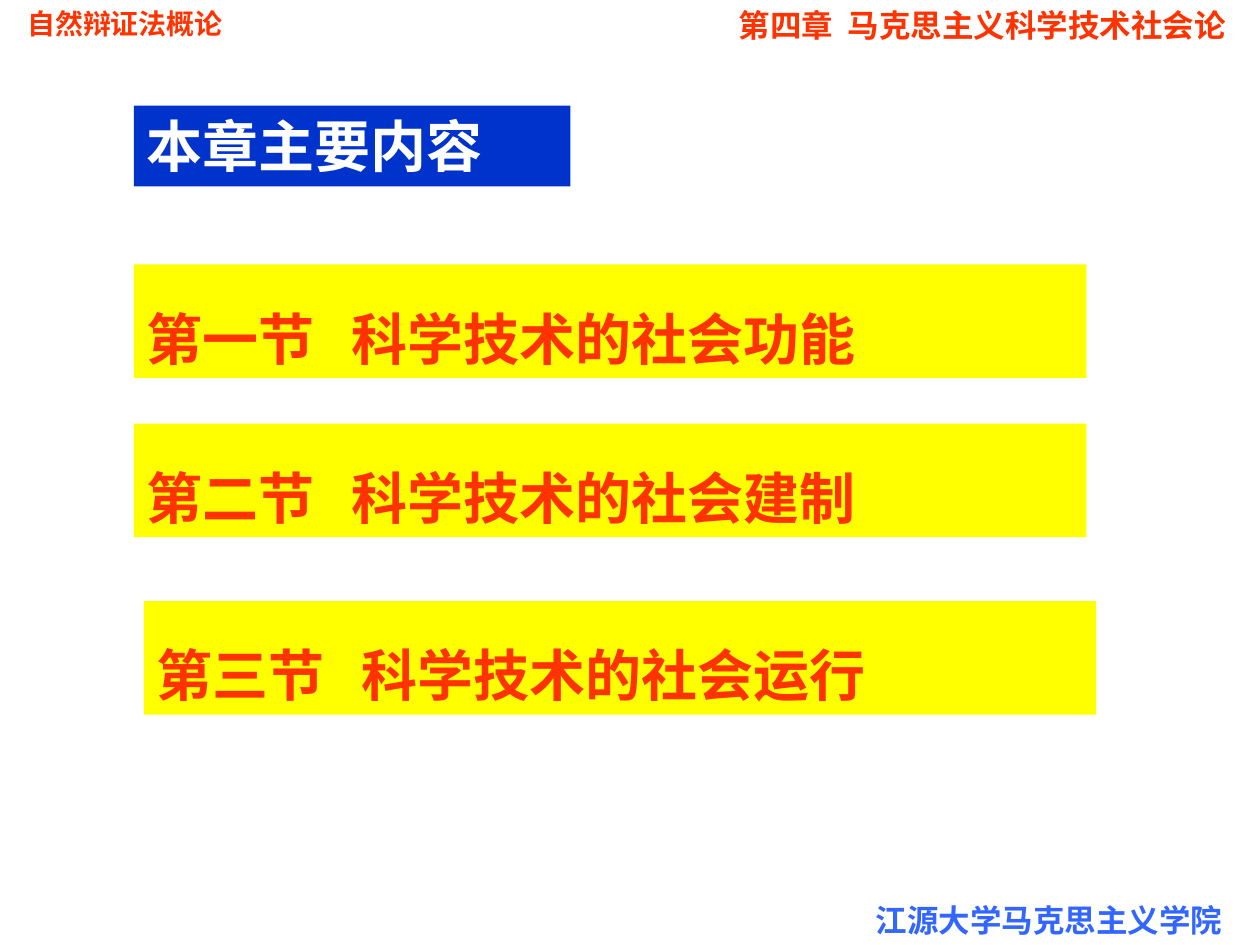
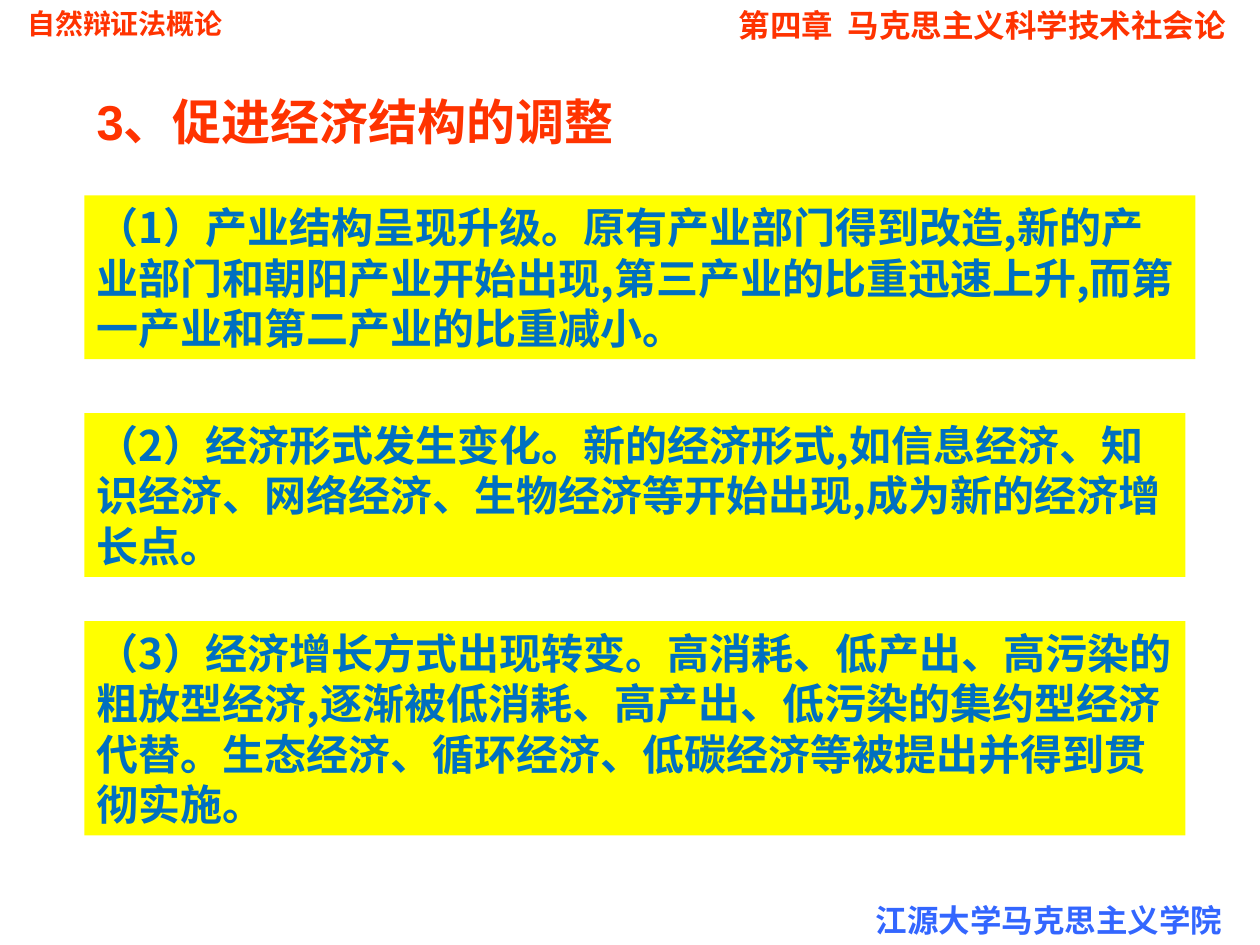
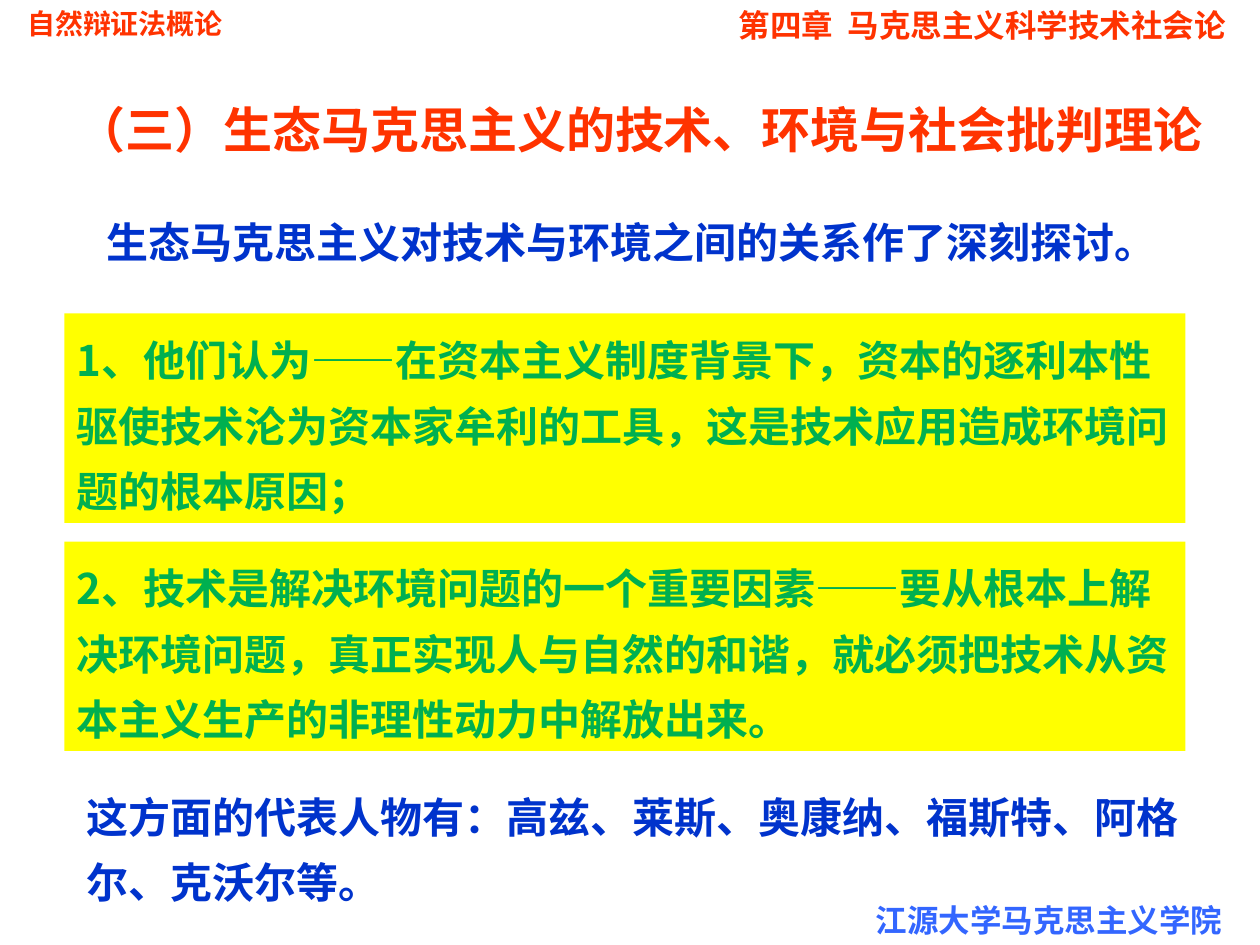
"""Build three lecture slides on the Marxist theory of science, technology and society."""
from lxml import etree
from pptx import Presentation
from pptx.dml.color import RGBColor
from pptx.enum.shapes import MSO_SHAPE
from pptx.enum.text import MSO_ANCHOR, MSO_AUTO_SIZE
from pptx.oxml.ns import qn
from pptx.util import Cm, Pt

RECTANGLE = MSO_SHAPE.RECTANGLE
TOP = MSO_ANCHOR.TOP
GROW = MSO_AUTO_SIZE.SHAPE_TO_FIT_TEXT

RED = RGBColor(0xFF, 0x33, 0x00)
NAVY = RGBColor(0x00, 0x33, 0xCC)
SKY = RGBColor(0x33, 0x66, 0xFF)
BLUE = RGBColor(0x00, 0x70, 0xC0)
GREEN = RGBColor(0x00, 0xB0, 0x50)
YELLOW = RGBColor(0xFF, 0xFF, 0x00)
WHITE = RGBColor(0xFF, 0xFF, 0xFF)

LATIN = "Arial"
HAN = "Noto Sans CJK SC"
DASH = "——"

COURSE = "自然辩证法概论"
CHAPTER = "第四章\t马克思主义科学技术社会论"
SCHOOL = "江源大学马克思主义学院"

CONTENTS_TITLE = "本章主要内容"
SECTIONS = [
    ("第一节\t科学技术的社会功能", 2.7, 5.33),
    ("第二节\t科学技术的社会建制", 2.7, 8.54),
    ("第三节\t科学技术的社会运行", 2.9, 12.12),
]

ECONOMY_TITLE = "3、促进经济结构的调整"
ECONOMY_CHANGES = [
    ("（1）产业结构呈现升级。原有产业部门得到改造,新的产业部门和朝阳产业开始出现,"
     "第三产业的比重迅速上升,而第一产业和第二产业的比重减小。", 3.94, 22.4, 3.3),
    ("（2）经济形式发生变化。新的经济形式,如信息经济、知识经济、网络经济、"
     "生物经济等开始出现,成为新的经济增长点。", 8.33, 22.2, 3.3),
    ("（3）经济增长方式出现转变。高消耗、低产出、高污染的粗放型经济,逐渐被低消耗、"
     "高产出、低污染的集约型经济代替。生态经济、循环经济、低碳经济等被提出并得到贯彻实施。",
     12.52, 22.2, 4.32),
]

ECOLOGY_TITLE = "（三）生态马克思主义的技术、环境与社会批判理论"
ECOLOGY_INTRO = "生态马克思主义对技术与环境之间的关系作了深刻探讨。"
ECOLOGY_VIEWS = [
    "1、他们认为——在资本主义制度背景下，资本的逐利本性驱使技术沦为资本家牟利的工具，"
    "这是技术应用造成环境问题的根本原因；",
    "2、技术是解决环境问题的一个重要因素——要从根本上解决环境问题，真正实现人与自然的和谐，"
    "就必须把技术从资本主义生产的非理性动力中解放出来。",
]
ECOLOGY_THINKERS = "这方面的代表人物有：高兹、莱斯、奥康纳、福斯特、阿格尔、克沃尔等。"


def add_text(slide, text, left, top, width, height, *, size=24, color=RED, font=LATIN,
             fill=None, spacing=None, inset=0.25, tab=None):
    """Add bold text, on a filled rectangle if a fill is given."""
    place = Cm(left), Cm(top), Cm(width), Cm(height)
    if fill is None:
        box = slide.shapes.add_textbox(*place)
    else:
        box = slide.shapes.add_shape(RECTANGLE, *place)
        box.shadow.inherit = False
        box.fill.solid()
        box.fill.fore_color.rgb = fill
        box.line.fill.background()
    frame = box.text_frame
    frame.word_wrap = True
    frame.auto_size = GROW
    frame.vertical_anchor = TOP
    frame.margin_left = Cm(inset)
    paragraph = frame.paragraphs[0]
    paragraph.alignment = 1
    if spacing:
        paragraph.line_spacing = spacing
    if tab:
        stops = etree.SubElement(paragraph._p.get_or_add_pPr(), qn("a:tabLst"))
        etree.SubElement(stops, qn("a:tab"), pos=str(Cm(tab)), algn="l")
    before, dash, after = text.partition(DASH)
    for part, face in ((before, font), (dash, LATIN), (after, font)):
        if part:
            run = paragraph.add_run()
            run.text = part
            run.font.name = face
            run.font.size = Pt(size)
            run.font.bold = True
            run.font.color.rgb = color


def add_page(deck):
    """Add a blank slide with the shared header and footer."""
    slide = deck.slides.add_slide(deck.slide_layouts[6])
    add_text(slide, COURSE, 0.3, 0, 9.6, 0.94, size=16)
    add_text(slide, SCHOOL, 17.4, 18.03, 8, 1.02, size=18, color=SKY)
    add_text(slide, CHAPTER, 13.49, 0, 11.91, 1.02, size=18, inset=1.4, tab=2.2)
    return slide


def build_contents(deck):
    """Add the chapter contents slide."""
    slide = add_page(deck)
    add_text(slide, CONTENTS_TITLE, 2.7, 2.13, 8.8, 1.63, size=32, color=WHITE, fill=NAVY)
    for section, left, top in SECTIONS:
        add_text(slide, section, left, top, 19.2, 2.29, size=32, fill=YELLOW,
                 spacing=1.5, tab=4.13)


def build_economy(deck):
    """Add the slide on economic structure."""
    slide = add_page(deck)
    add_text(slide, ECONOMY_TITLE, 1.7, 1.73, 19.2, 1.45, size=28)
    for change, top, width, height in ECONOMY_CHANGES:
        add_text(slide, change, 1.7, top, width, height, color=BLUE, font=HAN, fill=YELLOW)


def build_ecology(deck):
    """Add the slide on ecological Marxism."""
    slide = add_page(deck)
    add_text(slide, ECOLOGY_TITLE, 1.3, 1.52, 24.1, 1.8, size=28, spacing=1.3)
    add_text(slide, ECOLOGY_INTRO, 1.9, 3.94, 22.2, 1.57, color=NAVY, spacing=1.3)
    for index, view in enumerate(ECOLOGY_VIEWS):
        add_text(slide, view, 1.3, 6.32 + 4.6 * index, 22.6, 4.22, color=GREEN, font=HAN,
                 fill=YELLOW, spacing=1.3)
    add_text(slide, ECOLOGY_THINKERS, 1.5, 15.52, 23.2, 2.9, color=NAVY, spacing=1.3)


def main():
    """Build and save the deck."""
    deck = Presentation()
    deck.slide_width, deck.slide_height = Cm(25.4), Cm(19.05)
    build_contents(deck)
    build_economy(deck)
    build_ecology(deck)
    deck.save("out.pptx")


if __name__ == "__main__":
    main()
